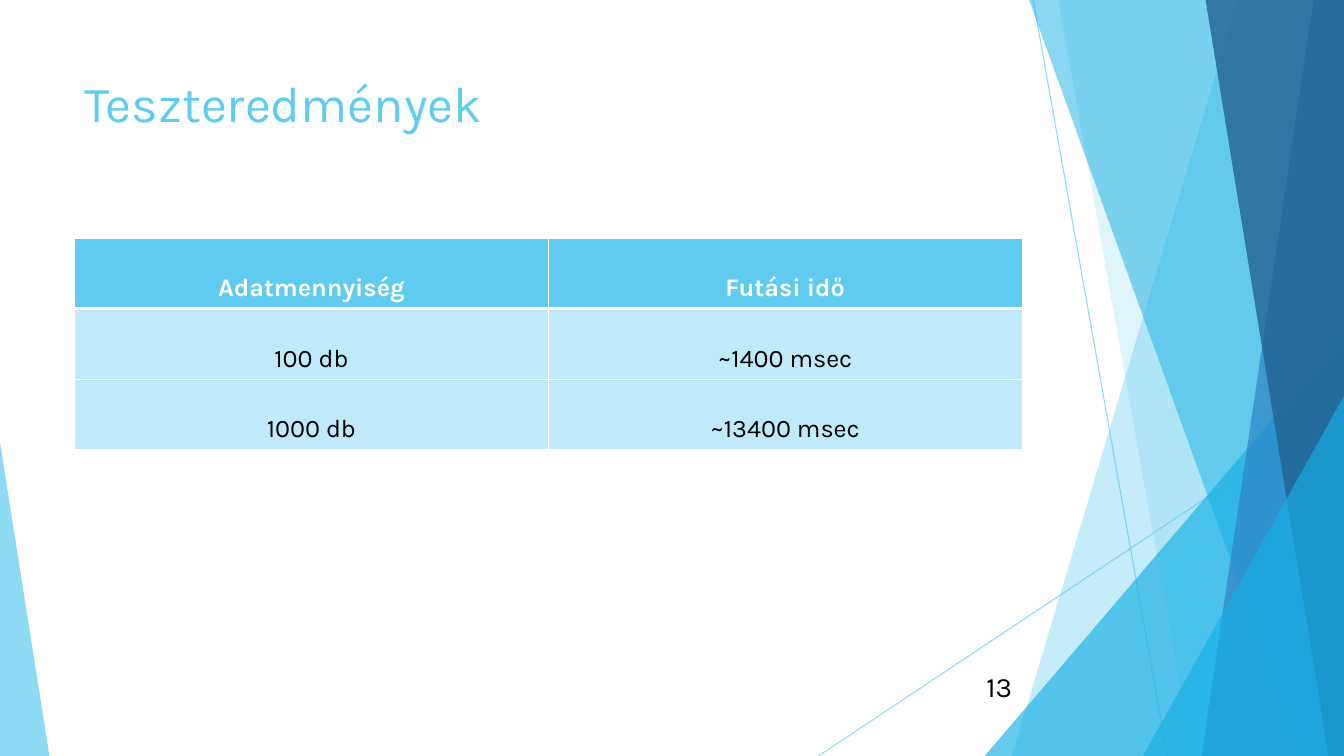
from dataclasses import dataclass

import lxml.etree
import pptx
import pptx.dml.color
import pptx.enum.shapes
import pptx.enum.text
import pptx.oxml.ns
import pptx.util

Pt = pptx.util.Pt
qn = pptx.oxml.ns.qn
Align = pptx.enum.text.PP_ALIGN
Anchor = pptx.enum.text.MSO_ANCHOR

WIDE, HIGH = 960, 540
FONT = "Karla"
SKY, AZURE, BLUE, NAVY = "5FCBEF", "17B0E4", "2E83C3", "226292"
PALE, WHITE, BLACK = "BFEAF9", "FFFFFF", "000000"


@dataclass
class Ray:
    start: tuple[float, float]
    end: tuple[float, float]


@dataclass
class Band:
    """A facet that runs from its slanted left side to the slide's right edge."""
    top: float
    base: float
    tint: str
    alpha: int


@dataclass
class Wedge:
    """A right triangle on the slide's bottom edge; peak is 0 (left) or 1 (right)."""
    left: float
    top: float
    width: float
    peak: int
    tint: str
    alpha: int


RAYS = [Ray((738, 0), (833.8, HIGH)), Ray((WIDE, 290.2), (584.6, HIGH))]
FACETS = [
    Band(884.2, 722.9, SKY, 36),
    Band(756, 851.8, SKY, 20),
    Wedge(703.4, 239.8, 256.6, 1, AZURE, 66),
    Band(735.1, 929.5, AZURE, 50),
    Band(938.2, 858.2, BLUE, 70),
    Band(861.1, 949, NAVY, 80),
    Wedge(816.5, 283, 143.5, 1, AZURE, 66),
    Wedge(0, 316.1, 35.3, 0, SKY, 70),
]
ROWS = [
    ("Adatmennyiség", "Futási idő"),
    ("100 db", "~1400 msec"),
    ("1000 db", "~13400 msec"),
]


def rgb(tint: str) -> pptx.dml.color.RGBColor:
    return pptx.dml.color.RGBColor.from_string(tint)


def fade(shape, alpha: int) -> None:
    """Set the opacity, in percent, of the shape's one colour."""
    tone = next(shape.element.spPr.iter(qn("a:srgbClr")))
    lxml.etree.SubElement(tone, qn("a:alpha"), val=str(alpha * 1000))


def draw_ray(shapes, ray: Ray) -> None:
    kind = pptx.enum.shapes.MSO_CONNECTOR.STRAIGHT
    line = shapes.add_connector(kind, *map(Pt, ray.start + ray.end))
    line.line.width = Pt(0.75)
    line.line.color.rgb = rgb(SKY)
    fade(line, 70)
    lxml.etree.SubElement(line.element.spPr, qn("a:effectLst"))


def draw_facet(shapes, facet: Band | Wedge) -> None:
    if isinstance(facet, Band):
        form = shapes.build_freeform(Pt(facet.top), 0)
        corners = [(WIDE, 0), (WIDE, HIGH), (facet.base, HIGH)]
        form.add_line_segments([(Pt(x), Pt(y)) for x, y in corners], close=True)
        shape = form.convert_to_shape()
    else:
        shape = shapes.add_shape(
            pptx.enum.shapes.MSO_SHAPE.ISOSCELES_TRIANGLE,
            Pt(facet.left), Pt(facet.top), Pt(facet.width), Pt(HIGH - facet.top))
        shape.adjustments[0] = facet.peak
    shape.shadow.inherit = False
    shape.fill.solid()
    shape.fill.fore_color.rgb = rgb(facet.tint)
    shape.line.fill.background()
    fade(shape, facet.alpha)


def write(frame, text: str, size: float, tint: str, align: Align,
          bold: bool = False) -> None:
    para = frame.paragraphs[0]
    para.alignment = align
    run = para.add_run()
    run.text = text
    run.font.name = FONT
    run.font.size = Pt(size)
    run.font.bold = bold
    run.font.color.rgb = rgb(tint)


def add_box(shapes, left: float, top: float, width: float, height: float,
            anchor: Anchor):
    frame = shapes.add_textbox(*map(Pt, (left, top, width, height))).text_frame
    frame.word_wrap = True
    frame.vertical_anchor = anchor
    return frame


def add_edge(cell, side: str, width: float) -> None:
    """Add a white border; side is L, R, T or B."""
    props = cell._tc.get_or_add_tcPr()
    edge = lxml.etree.SubElement(props, qn("a:ln" + side), w=str(Pt(width)))
    fill = lxml.etree.SubElement(edge, qn("a:solidFill"))
    lxml.etree.SubElement(fill, qn("a:srgbClr"), val=WHITE)


def add_grid(shapes) -> None:
    frame = shapes.add_table(len(ROWS), 2, Pt(53.3), Pt(170), Pt(676.8), Pt(132))
    grid = frame.table
    for r, texts in enumerate(ROWS):
        head = r == 0
        for c, text in enumerate(texts):
            cell = grid.cell(r, c)
            cell.vertical_anchor = Anchor.MIDDLE
            write(cell.text_frame, text, 18, WHITE if head else BLACK,
                  Align.CENTER, head)
            cell.text_frame.paragraphs[0].line_spacing = 2.0
            for side in "LRTB":
                thick = (r, side) in ((0, "B"), (1, "T"))
                add_edge(cell, side, 3 if thick else 1)
            cell.fill.solid()
            cell.fill.fore_color.rgb = rgb(SKY if head else PALE)


def main() -> None:
    deck = pptx.Presentation()
    deck.slide_width, deck.slide_height = Pt(WIDE), Pt(HIGH)
    shapes = deck.slides.add_slide(deck.slide_layouts[6]).shapes
    for ray in RAYS:
        draw_ray(shapes, ray)
    for facet in FACETS:
        draw_facet(shapes, facet)
    title = add_box(shapes, 53.3, 48, 676.8, 104, Anchor.TOP)
    write(title, "Teszteredmények", 36, SKY, Align.LEFT)
    add_grid(shapes)
    number = add_box(shapes, 676, 476, 54, 28.8, Anchor.MIDDLE)
    write(number, "13", 20, BLACK, Align.RIGHT)
    deck.save("out.pptx")


if __name__ == "__main__":
    main()
